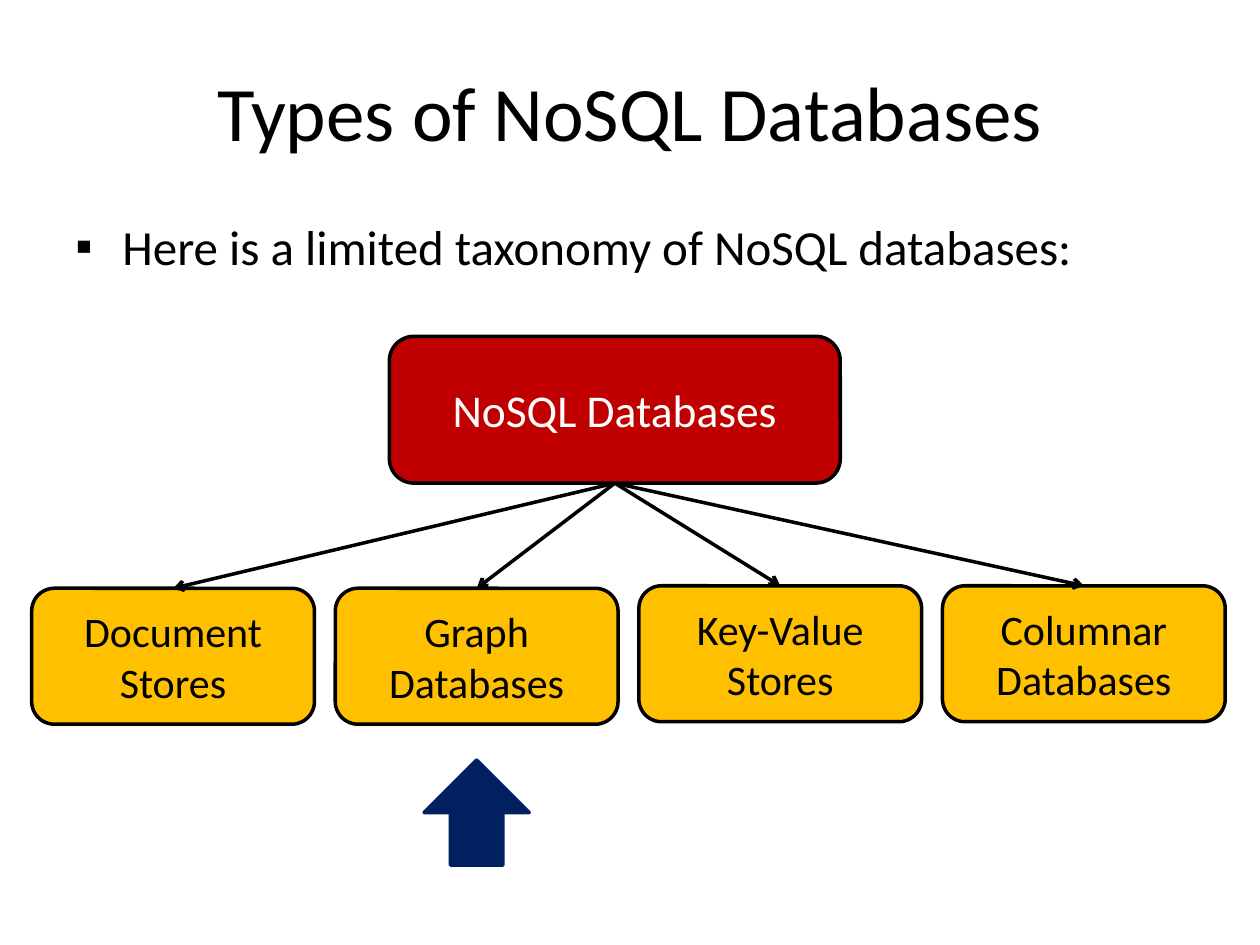
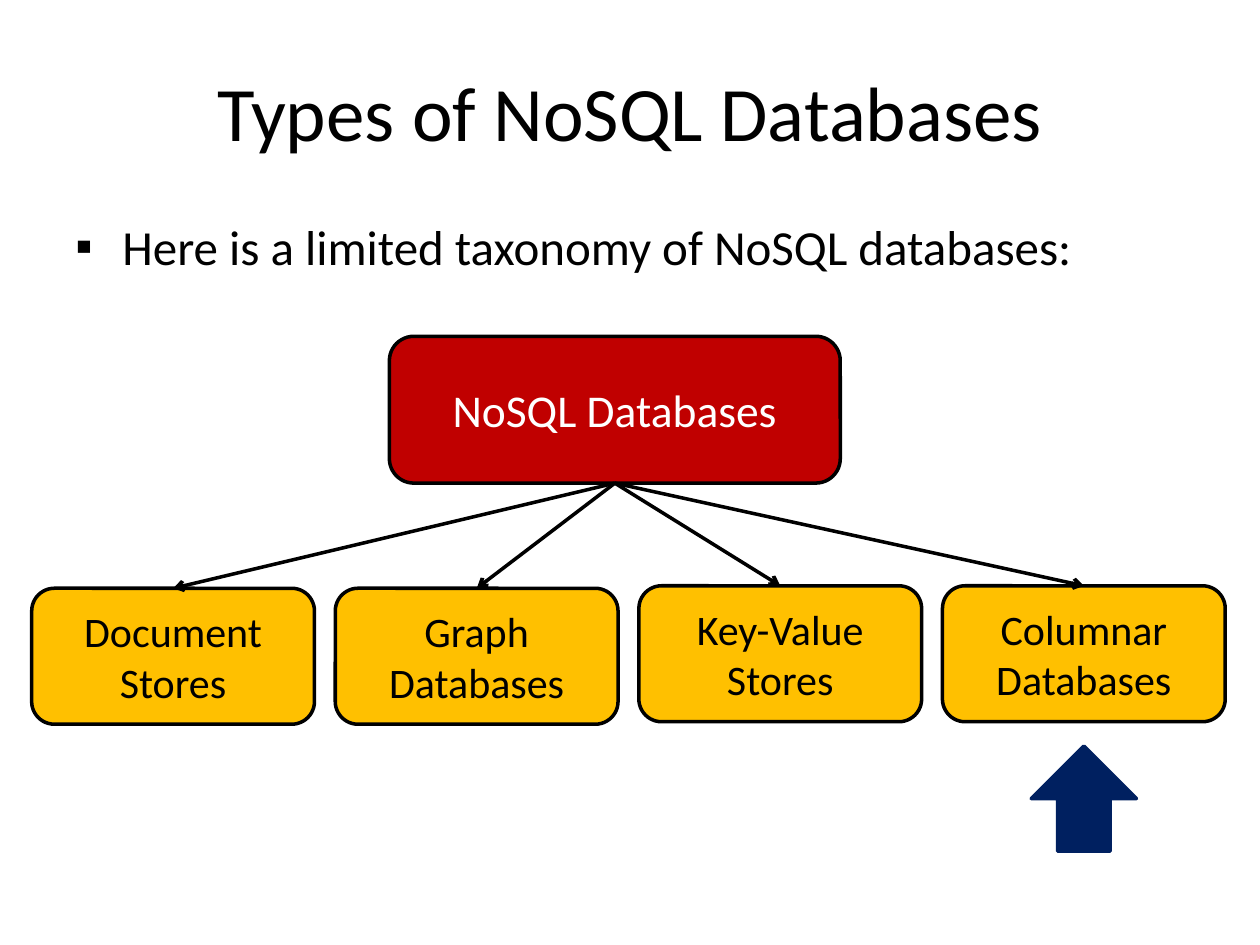
from pptx import Presentation, util as u
from pptx.dml.color import RGBColor
from pptx.enum import shapes, text
from pptx.oxml.ns import qn
from lxml import etree

Cm, Pt = u.Cm, u.Pt
Kind = shapes.MSO_SHAPE
hues = {"ink": "000000", "root": "C00000", "leaf": "FFC000", "mark": "002060", "pale": "FFFFFF"}
font = "Calibri"
names = ["Document Stores", "Graph Databases", "Key-Value Stores", "Columnar Databases"]
tops = [11.86, 11.86, 11.81, 11.81]
left, step, wide, high = 0.64, 6.12, 5.7, 2.74
size = 2.12
marks = [(1, 15.32), (3, 15.04)]


def write(shape, words, points, hue, align, anchor):
    frame = shape.text_frame
    frame.word_wrap = True
    frame.vertical_anchor = anchor
    para = frame.paragraphs[0]
    para.alignment = align
    run = para.add_run()
    run.text = words
    run.font.name = font
    run.font.size = Pt(points)
    run.font.color.rgb = RGBColor.from_string(hues[hue])
    return para


def block(slide, kind, x, y, w, h, fill, edge):
    shape = slide.shapes.add_shape(kind, Cm(x), Cm(y), Cm(w), Cm(h))
    shape.shadow.inherit = False
    shape.fill.solid()
    shape.fill.fore_color.rgb = RGBColor.from_string(hues[fill])
    shape.line.color.rgb = RGBColor.from_string(hues[edge])
    shape.line.width = Pt(2)
    return shape


mid, centre = text.MSO_ANCHOR.MIDDLE, text.PP_ALIGN.CENTER
deck = Presentation()
deck.slide_width, deck.slide_height = Cm(25.4), Cm(19.05)

for pick, low in marks:
    slide = deck.slides.add_slide(deck.slide_layouts[6])

    title = slide.shapes.add_textbox(Cm(1.27), Cm(0.64), Cm(22.86), Cm(3.18))
    write(title, "Types of NoSQL Databases", 44, "ink", centre, mid)

    body = slide.shapes.add_textbox(Cm(1.27), Cm(4.24), Cm(23.5), Cm(14.6))
    para = write(body, "Here is a limited taxonomy of NoSQL databases:", 28, "ink",
                 text.PP_ALIGN.LEFT, text.MSO_ANCHOR.TOP)
    para.space_before = Pt(5.6)
    props = para._p.get_or_add_pPr()
    props.set("marL", str(Cm(0.95)))
    props.set("indent", str(-Cm(0.95)))
    etree.SubElement(props, qn("a:buFont")).set("typeface", "Arial")
    etree.SubElement(props, qn("a:buChar")).set("char", "▪")

    root = block(slide, Kind.ROUNDED_RECTANGLE, 7.85, 6.78, 9.09, 2.96, "root", "ink")
    write(root, "NoSQL Databases", 26, "pale", centre, mid)

    leaves = []
    for i, (name, top) in enumerate(zip(names, tops)):
        leaf = block(slide, Kind.ROUNDED_RECTANGLE, left + i * step, top, wide, high, "leaf", "ink")
        write(leaf, name, 24, "ink", centre, mid)
        leaves.append(leaf)

    for leaf in leaves:
        link = slide.shapes.add_connector(shapes.MSO_CONNECTOR.STRAIGHT, 0, 0, 0, 0)
        link.begin_connect(root, 2)
        link.end_connect(leaf, 0)
        link.line.color.rgb = RGBColor.from_string(hues["ink"])
        link.line.width = Pt(2)
        etree.SubElement(link.line._get_or_add_ln(), qn("a:tailEnd")).set("type", "arrow")
        etree.SubElement(link._element.spPr, qn("a:effectLst"))

    block(slide, Kind.UP_ARROW, left + pick * step + (wide - size) / 2, low, size, size, "mark", "mark")

deck.save("out.pptx")
